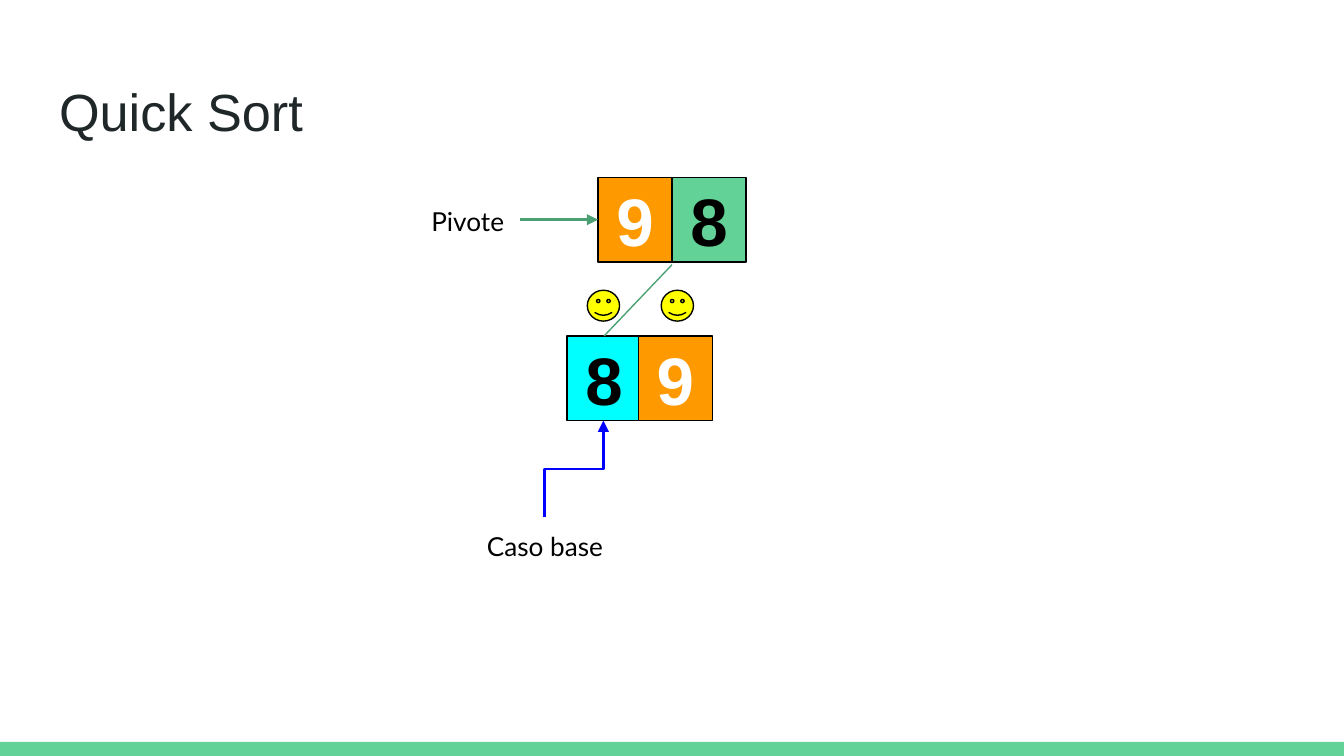
from lxml import etree
from pptx import Presentation
from pptx.dml.color import RGBColor
from pptx.enum import shapes, text
from pptx.oxml.ns import qn
from pptx.util import Inches, Pt

COLORS = {
    "green": "63D297", "dark_green": "4BA173", "orange": "FF9900",
    "cyan": "00FFFF", "yellow": "FFFF00", "blue": "0000FF",
    "ink": "202729", "black": "000000", "white": "FFFFFF",
}
BOX_W, BOX_H = 0.55, 0.63


def rgb(name):
    return RGBColor.from_string(COLORS[name])


def set_text(sp, content, size, font, color, bold=False,
             align=text.PP_ALIGN.CENTER, anchor=text.MSO_ANCHOR.TOP):
    tf = sp.text_frame
    tf.text = content
    tf.word_wrap = True
    tf.auto_size = text.MSO_AUTO_SIZE.NONE
    tf.vertical_anchor = anchor
    tf.margin_left = tf.margin_right = Inches(0.1)
    tf.margin_top = tf.margin_bottom = Inches(0.1)
    p = tf.paragraphs[0]
    p.alignment = align
    f = p.runs[0].font
    f.size, f.name, f.bold = Pt(size), font, bold
    f.color.rgb = rgb(color)


def add_title(s, content):
    sp = s.shapes.title
    sp.left, sp.top = Inches(0.34), Inches(0.49)
    sp.width, sp.height = Inches(9.32), Inches(0.63)
    set_text(sp, content, 28, "Arial", "ink", align=text.PP_ALIGN.LEFT)


def add_filled(s, kind, x, y, w, h, fill, outlined=True):
    sp = s.shapes.add_shape(kind, Inches(x), Inches(y), Inches(w), Inches(h))
    sp.shadow.inherit = False
    sp.fill.solid()
    sp.fill.fore_color.rgb = rgb(fill)
    if outlined:
        sp.line.color.rgb = rgb("black")
        sp.line.width = Pt(0.75)
    else:
        sp.line.fill.background()
    return sp


def add_number(s, x, y, number, fill, color):
    sp = add_filled(s, shapes.MSO_SHAPE.RECTANGLE, x, y, BOX_W, BOX_H, fill)
    set_text(sp, number, 36, "Arial", color, bold=True,
             anchor=text.MSO_ANCHOR.MIDDLE)
    return sp


def add_label(s, x, y, w, content):
    sp = s.shapes.add_textbox(Inches(x), Inches(y), Inches(w), Inches(0.41))
    set_text(sp, content, 14, "Lato", "black")
    return sp


def add_line(s, start, end, color, width, arrow=False,
             kind=shapes.MSO_CONNECTOR.STRAIGHT):
    c = s.shapes.add_connector(kind, *(Inches(v) for v in (*start, *end)))
    c.line.color.rgb = rgb(color)
    c.line.width = Pt(width)
    ln = c._element.spPr.find(qn("a:ln"))
    if arrow:
        etree.SubElement(ln, qn("a:tailEnd"), type="triangle")
    etree.SubElement(c._element.spPr, qn("a:effectLst"))
    return c


def add_upward_elbow(s, start, end, color, width):
    """Elbow arrow that leaves upwards: a level elbow turned by 270 degrees."""
    cx, cy = (start[0] + end[0]) / 2, (start[1] + end[1]) / 2
    half_run, half_rise = (end[0] - start[0]) / 2, (start[1] - end[1]) / 2
    c = add_line(s, (cx - half_rise, cy - half_run),
                 (cx + half_rise, cy + half_run), color, width, arrow=True,
                 kind=shapes.MSO_CONNECTOR.ELBOW)
    c._element.spPr.find(qn("a:xfrm")).set("rot", str(270 * 60000))


def main():
    prs = Presentation()
    prs.slide_width = Inches(10)
    prs.slide_height = Inches(10) * 9 // 16
    s = prs.slides.add_slide(prs.slide_layouts[5])

    # Footer bar and title
    add_filled(s, shapes.MSO_SHAPE.RECTANGLE, 0, 5.52, 10, 0.11, "green",
               outlined=False)
    add_title(s, "Quick Sort")

    # Unsorted pair with its pivot
    add_number(s, 5, 1.32, "8", "green", "black")
    pivot_label = add_label(s, 3.09, 1.43, 0.78, "Pivote")
    pivot = add_number(s, 4.45, 1.32, "9", "orange", "white")
    arrow = add_line(s, (3.87, 1.64), (4.45, 1.64), "dark_green", 1.5, arrow=True)
    arrow.begin_connect(pivot_label, 3)
    arrow.end_connect(pivot, 1)

    # Sorted pair
    base = add_number(s, 4.22, 2.5, "8", "cyan", "black")
    add_number(s, 4.75, 2.5, "9", "orange", "white")
    branch = add_line(s, (5, 1.97), (4.49, 2.5), "dark_green", 0.75)
    branch.end_connect(base, 0)

    # Smileys between the pairs
    for x in (4.37, 4.92):
        add_filled(s, shapes.MSO_SHAPE.SMILEY_FACE, x, 2.16, 0.24, 0.23, "yellow")

    # Base case
    add_label(s, 3.49, 3.85, 1.13, "Caso base")
    add_upward_elbow(s, (4.05, 3.85), (4.49, 3.13), "blue", 1.5)

    prs.save("out.pptx")


if __name__ == "__main__":
    main()
